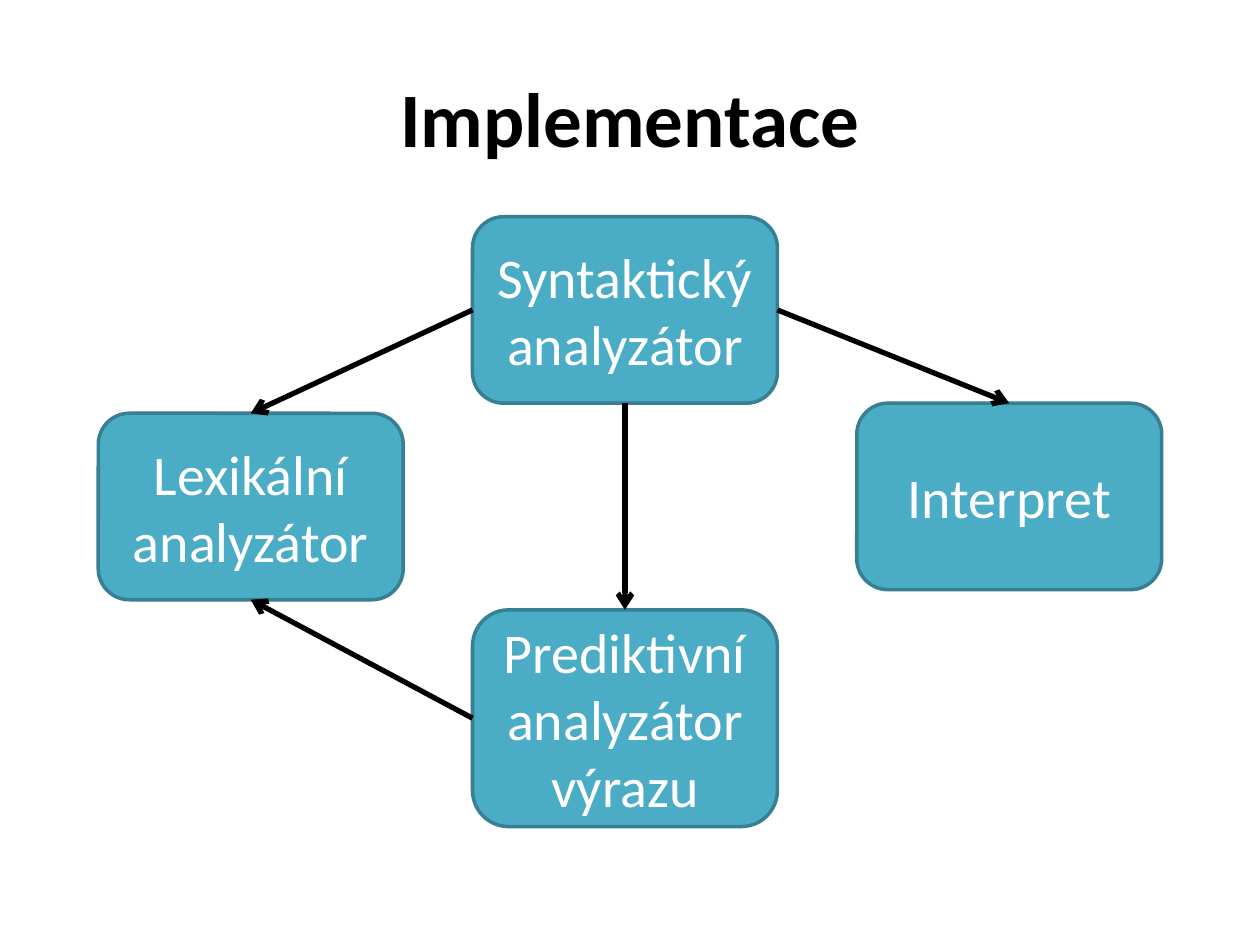
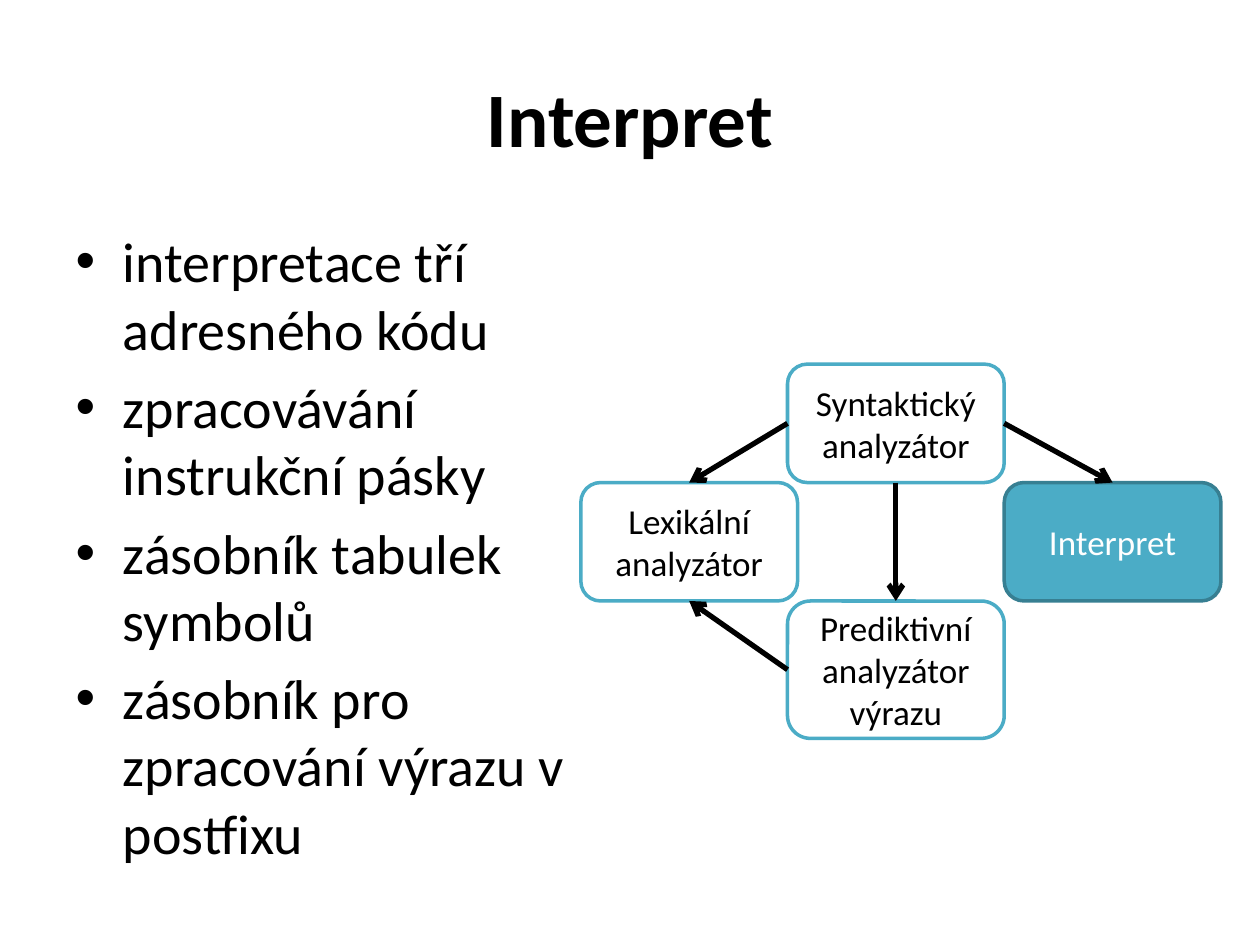
from lxml.etree import SubElement
from pptx import Presentation
from pptx.dml.color import RGBColor
from pptx.enum.shapes import MSO_CONNECTOR as Connector, MSO_SHAPE as Shape
from pptx.enum.text import MSO_ANCHOR as Anchor, MSO_AUTO_SIZE as AutoSize, PP_ALIGN as Align
from pptx.oxml.ns import qn
from pptx.util import Inches, Pt

# Shared look
BLACK = RGBColor(0x00, 0x00, 0x00)
WHITE = RGBColor(0xFF, 0xFF, 0xFF)
TEAL = RGBColor(0x4B, 0xAC, 0xC6)
DARK_TEAL = RGBColor(0x37, 0x7F, 0x92)
FILLED = {"fill": TEAL, "line": DARK_TEAL, "text": WHITE}
OUTLINED = {"fill": WHITE, "line": TEAL, "text": BLACK}
TITLE_FONT = {"name": "Calibri", "size": Pt(44), "bold": True}
BODY_FONT = {"name": "Calibri", "size": Pt(32)}
TITLE_BOX = (0.5, 0.3, 9, 1.25)
BODY_BOX = (0.5, 1.75, 4.11, 4.95)
TITLE_ONLY, TITLE_AND_BODY = 5, 1

# Diagram content: module names, and calls with the sides they join
MODULES = {
    "lexical": "Lexikální analyzátor",
    "syntax": "Syntaktický analyzátor",
    "interpreter": "Interpret",
    "predictive": "Prediktivní analyzátor výrazu",
}
TOP, LEFT, BOTTOM, RIGHT = range(4)
CALLS = [
    ("syntax", LEFT, "lexical", TOP),
    ("predictive", LEFT, "lexical", BOTTOM),
    ("syntax", RIGHT, "interpreter", TOP),
    ("syntax", BOTTOM, "predictive", TOP),
]

# Slide content: box size, taller last box, corners and highlighted modules
SLIDES = [
    {
        "title": "Implementace",
        "bullets": [],
        "size": (2.42, 1.48), "tall": 1.72, "font": 32,
        "corners": {"lexical": (0.78, 3.28), "syntax": (3.75, 1.72),
                    "interpreter": (6.8, 3.2), "predictive": (3.75, 4.84)},
        "highlighted": list(MODULES),
    },
    {
        "title": "Interpret",
        "bullets": [
            "interpretace tří adresného kódu",
            "zpracovávání instrukční pásky",
            "zásobník tabulek symbolů",
            "zásobník pro zpracování výrazu v postfixu",
        ],
        "size": (1.72, 0.94), "tall": 1.09, "font": 20,
        "corners": {"lexical": (4.61, 3.83), "syntax": (6.25, 2.89),
                    "interpreter": (7.97, 3.83), "predictive": (6.25, 4.77)},
        "highlighted": ["interpreter"],
    },
]


def apply_format(target, values):
    for name, value in values.items():
        setattr(target, name, value)


def place(shape, box):
    names = ("left", "top", "width", "height")
    apply_format(shape, dict(zip(names, map(Inches, box))))


def fill_placeholder(shape, box, lines, font, align, anchor):
    place(shape, box)
    frame = shape.text_frame
    frame.text = "\n".join(lines)
    apply_format(frame, {"word_wrap": True, "auto_size": AutoSize.NONE,
                         "vertical_anchor": anchor})
    for paragraph in frame.paragraphs:
        paragraph.alignment = align
        apply_format(paragraph.runs[0].font, font)
        paragraph.runs[0].font.color.rgb = BLACK


def add_module(slide, text, box, font_size, colours):
    shape = slide.shapes.add_shape(Shape.ROUNDED_RECTANGLE, *map(Inches, box))
    shape.shadow.inherit = False
    shape.fill.solid()
    shape.fill.fore_color.rgb = colours["fill"]
    shape.line.color.rgb = colours["line"]
    shape.line.width = Pt(2)
    frame = shape.text_frame
    frame.text = text
    apply_format(frame, {"word_wrap": True, "vertical_anchor": Anchor.MIDDLE})
    paragraph = frame.paragraphs[0]
    paragraph.alignment = Align.CENTER
    font = paragraph.runs[0].font
    apply_format(font, {"name": "Calibri", "size": Pt(font_size)})
    font.color.rgb = colours["text"]
    return shape


def add_arrow(slide, source, source_side, target, target_side):
    arrow = slide.shapes.add_connector(Connector.STRAIGHT, 0, 0, 0, 0)
    arrow.begin_connect(source, source_side)
    arrow.end_connect(target, target_side)
    arrow.line.color.rgb = BLACK
    arrow.line.width = Pt(3)
    SubElement(arrow.line._get_or_add_ln(), qn("a:tailEnd"), type="arrow")
    SubElement(arrow._element.spPr, qn("a:effectLst"))


def add_diagram(slide, content):
    width, height = content["size"]
    shapes = {}
    for module, text in MODULES.items():
        box_height = content["tall"] if module == "predictive" else height
        box = (*content["corners"][module], width, box_height)
        colours = FILLED if module in content["highlighted"] else OUTLINED
        shapes[module] = add_module(slide, text, box, content["font"], colours)
    for source, source_side, target, target_side in CALLS:
        add_arrow(slide, shapes[source], source_side, shapes[target], target_side)


# Build the slides
presentation = Presentation()
presentation.slide_width = Inches(10)
presentation.slide_height = Inches(7.5)
for content in SLIDES:
    layout = TITLE_AND_BODY if content["bullets"] else TITLE_ONLY
    slide = presentation.slides.add_slide(presentation.slide_layouts[layout])
    fill_placeholder(slide.shapes.title, TITLE_BOX, [content["title"]],
                     TITLE_FONT, Align.CENTER, Anchor.MIDDLE)
    if content["bullets"]:
        fill_placeholder(slide.placeholders[1], BODY_BOX, content["bullets"],
                         BODY_FONT, Align.LEFT, Anchor.TOP)
    add_diagram(slide, content)
presentation.save("out.pptx")
